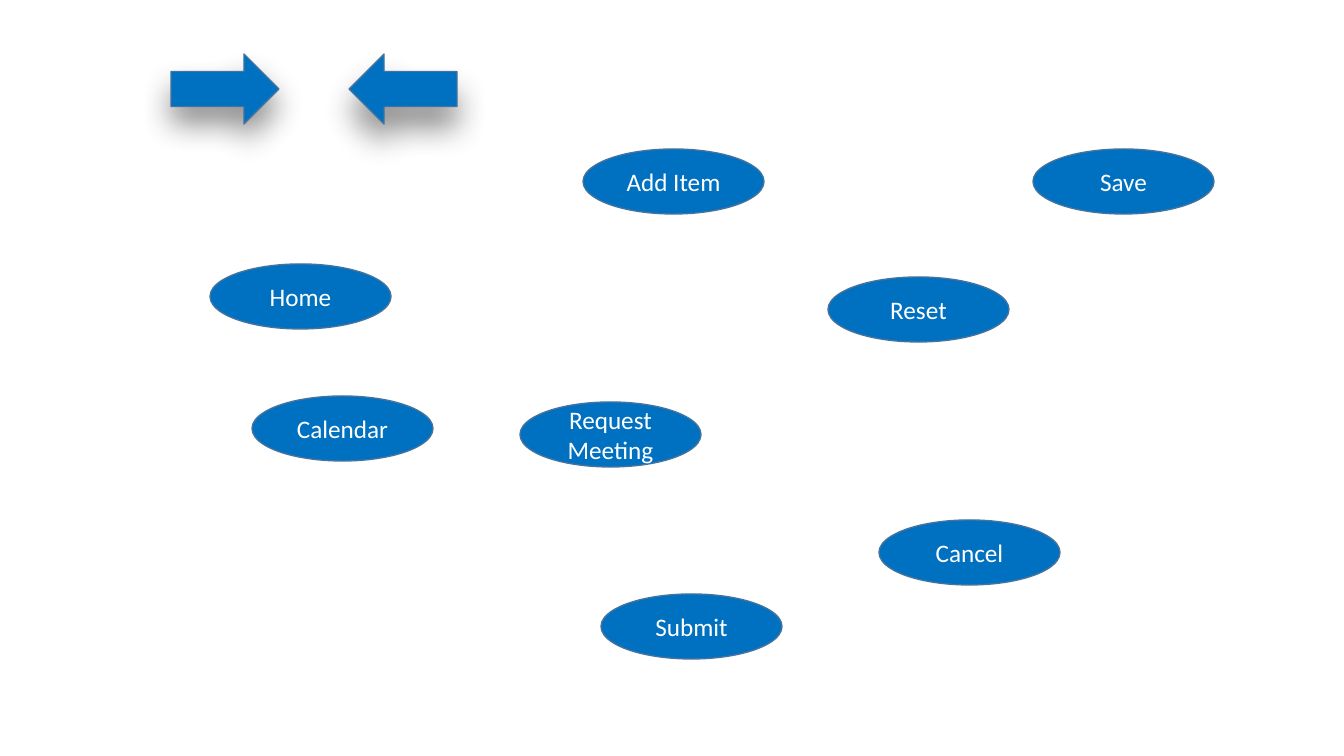
from lxml.etree import SubElement
from pptx import Presentation
from pptx.dml.color import RGBColor
from pptx.enum.shapes import MSO_SHAPE
from pptx.enum.text import MSO_ANCHOR, PP_ALIGN
from pptx.oxml.ns import qn
from pptx.util import Pt

SCALE = 914400 / 100.8
COLORS = {"button": "0070C0", "outline": "43739E", "label": "FFFFFF", "shadow": "000000"}
BUTTON_SIZE = (181, 65)
ARROW_SIZE = (108, 70)
BUTTONS = [
    ("Home", 210, 264),
    ("Calendar", 252, 396),
    ("Request Meeting", 520, 402),
    ("Submit", 601, 594),
    ("Cancel", 879, 520),
    ("Reset", 828, 277),
    ("Add Item", 583, 149),
    ("Save", 1033, 149),
]
ARROWS = [(0, 0, 22, 12), (178, 180, 23, 15)]


def emu(pixels):
    return round(pixels * SCALE)


def rgb(name):
    return RGBColor.from_string(COLORS[name])


def add_preset(slide, preset, left, top, size):
    preset_shape = slide.shapes.add_shape(preset, *map(emu, (left, top, *size)))
    preset_shape.shadow.inherit = False
    preset_shape.fill.solid()
    preset_shape.fill.fore_color.rgb = rgb("button")
    preset_shape.line.color.rgb = rgb("outline")
    preset_shape.line.width = Pt(1)
    return preset_shape


def write_text(target, text, size=18, font="Calibri", color="label", align=PP_ALIGN.CENTER):
    frame = target.text_frame
    frame.word_wrap = True
    frame.vertical_anchor = MSO_ANCHOR.MIDDLE
    paragraph = frame.paragraphs[0]
    paragraph.alignment = align
    run = paragraph.add_run()
    run.text = text
    run.font.size = Pt(size)
    run.font.name = font
    run.font.color.rgb = rgb(color)


def add_drop_shadow(target, blur, distance, opacity=43, angle=90):
    effects = target._element.spPr.find(qn("a:effectLst"))
    shadow = SubElement(
        effects, qn("a:outerShdw"), blurRad=str(Pt(blur)), dist=str(Pt(distance)),
        dir=str(angle * 60000), rotWithShape="0",
    )
    tint = SubElement(shadow, qn("a:srgbClr"), val=COLORS["shadow"])
    SubElement(tint, qn("a:alpha"), val=str(opacity * 1000))


def draw_buttons(slide, left, top):
    for label, x, y in BUTTONS:
        button = add_preset(slide, MSO_SHAPE.OVAL, left + x, top + y, BUTTON_SIZE)
        write_text(button, label)


def draw_arrows(slide, left, top):
    for x, rotation, blur, distance in ARROWS:
        arrow = add_preset(slide, MSO_SHAPE.RIGHT_ARROW, left + x, top, ARROW_SIZE)
        arrow.rotation = rotation
        add_drop_shadow(arrow, blur, distance)


presentation = Presentation()
presentation.slide_width = emu(1344)
presentation.slide_height = emu(756)
navigation = presentation.slides.add_slide(presentation.slide_layouts[6])
draw_buttons(navigation, 0, 0)
draw_arrows(navigation, 171, 54)
presentation.save("out.pptx")
